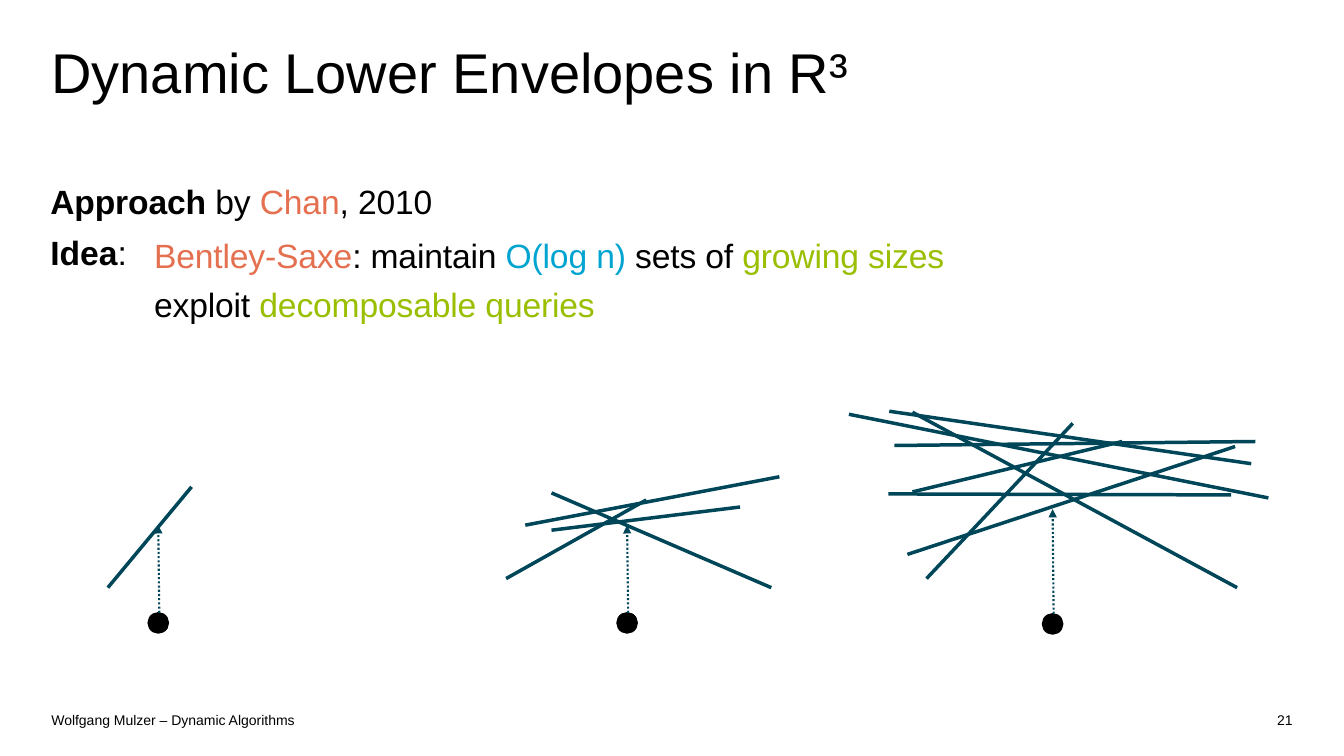
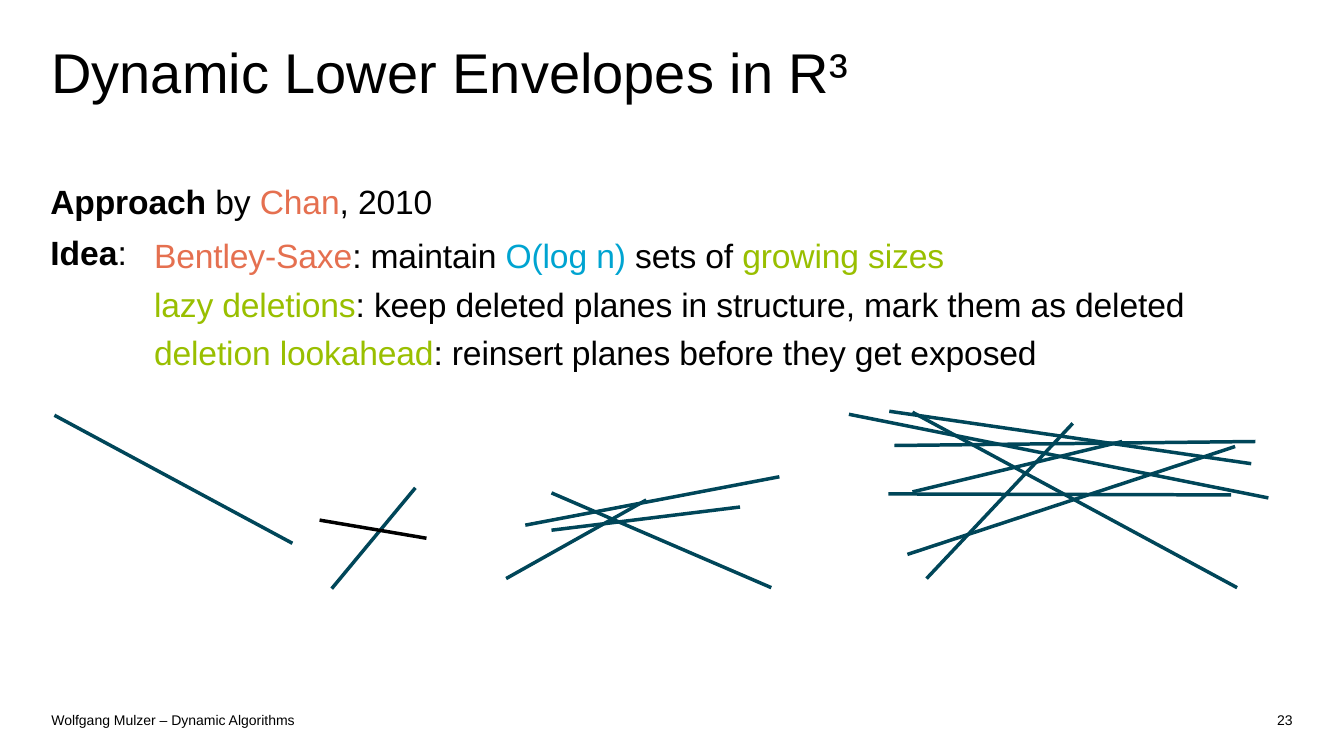
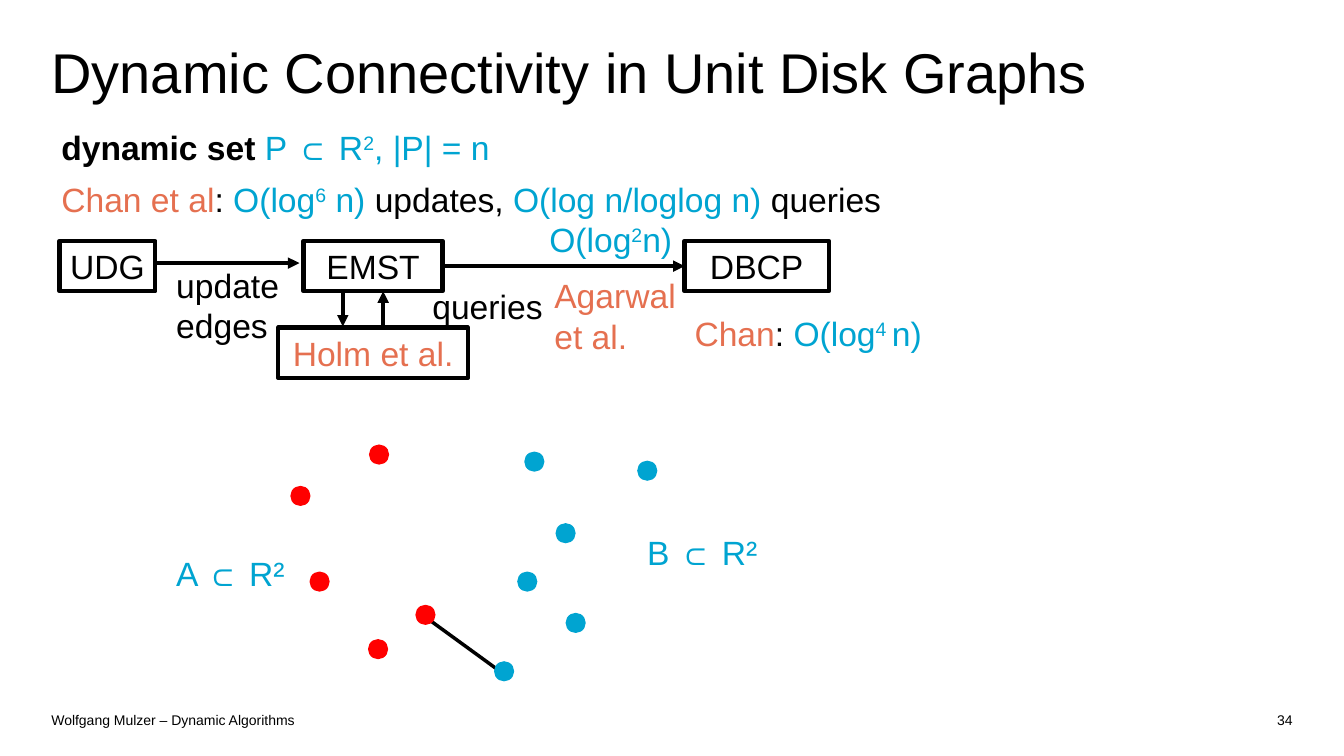
from dataclasses import dataclass

from pptx import Presentation
from pptx.dml.color import RGBColor
from pptx.enum.dml import MSO_LINE
from pptx.enum.shapes import MSO_CONNECTOR, MSO_SHAPE
from pptx.enum.text import MSO_ANCHOR, PP_ALIGN
from pptx.oxml.ns import qn
from pptx.util import Inches, Pt
from lxml.etree import SubElement

BLACK = RGBColor(0x00, 0x00, 0x00)
TEAL = RGBColor(0x00, 0x46, 0x59)
CORAL = RGBColor(0xE5, 0x70, 0x50)
BLUE = RGBColor(0x00, 0xA4, 0xD1)
GREEN = RGBColor(0x99, 0xBF, 0x00)
RED = RGBColor(0xFF, 0x00, 0x00)
FONT = "Arial"
BOLD, SUPER = "bold", "super"
DOT_SIZE = 0.2


@dataclass
class Box:
    left: float
    top: float
    width: float
    height: float

    def inner(self, x, y, width, height):
        return Box(self.left + x, self.top + y, width, height)

    def point(self, x, y):
        return self.left + x, self.top + y

    def lengths(self):
        return [Inches(value) for value in (self.left, self.top, self.width, self.height)]


TITLE = Box(0.51, 0.37, 12.31, 0.75)
FOOTER = Box(0.51, 6.99, 12.31, 0.31)
APPROACH = Box(0.44, 1.84, 10.3, 0.36)
IDEA = Box(0.5, 2.3, 11.36, 1.45)
MEDIUM_SET = Box(5.02, 4.73, 2.71, 1.1)
LARGE_SET = Box(8.42, 4.08, 4.16, 1.75)
INTRO = Box(0.51, 1.21, 9.11, 1.02)
PIPELINE = Box(0.59, 2.12, 8.83, 1.63)
POINT_SETS = Box(1.65, 4.41, 5.97, 2.35)

SMALL_PLANES = [((0, 1), (0.83, 0))]
MEDIUM_PLANES = [
    ((0, 1.01), (1.39, 0.23)),
    ((0.45, 0.53), (2.32, 0.3)),
    ((0.19, 0.48), (2.71, 0)),
    ((0.45, 0.16), (2.63, 1.1)),
]
LARGE_PLANES = [
    ((0.77, 1.66), (2.22, 0.12)),
    ((0.63, 0.8), (2.71, 0.3)),
    ((0.39, 0.82), (3.79, 0.83)),
    ((0.45, 0.34), (4.03, 0.3)),
    ((0.63, 0.01), (3.85, 1.75)),
    ((0, 0.03), (4.16, 0.86)),
    ((0.58, 1.42), (3.83, 0.35)),
    ((0.4, 0), (3.99, 0.52)),
]
BENTLEY_SAXE = [
    ("Bentley-Saxe", CORAL), (": maintain ", BLACK), ("O(log n)", BLUE),
    (" sets of ", BLACK), ("growing sizes", GREEN),
]


def add_spans(para, spans, size=24, tight=False):
    for text, color, *style in spans:
        if text == "\n":
            para.add_line_break()
            continue
        span = para.add_run()
        span.text = text
        span.font.name = FONT
        span.font.size = Pt(size)
        span.font.bold = BOLD in style
        span.font.color.rgb = color
        properties = span._r.get_or_add_rPr()
        if SUPER in style:
            properties.set("baseline", "30000")
        if tight:
            properties.set("spc", "-10")


def add_text(page, box, spans, size=24, inset=True, tight=False,
             align=PP_ALIGN.LEFT, anchor=MSO_ANCHOR.TOP):
    frame = page.shapes.add_textbox(*box.lengths()).text_frame
    frame.word_wrap = True
    frame.vertical_anchor = anchor
    if not inset:
        frame.margin_left = frame.margin_right = 0
        frame.margin_top = frame.margin_bottom = 0
    para = frame.paragraphs[0]
    para.alignment = align
    if tight:
        para.line_spacing = 0.9
        para._p.get_or_add_pPr().set("marL", str(Inches(0.06)))
    add_spans(para, spans, size, tight)


def add_line(page, start, end, color=TEAL, width=2.5, arrow=False, dotted=False):
    ends = [Inches(value) for value in (*start, *end)]
    line = page.shapes.add_connector(MSO_CONNECTOR.STRAIGHT, *ends)
    line.line.color.rgb = color
    line.line.width = Pt(width)
    if dotted:
        line.line.dash_style = MSO_LINE.ROUND_DOT
    properties = line._element.spPr
    if arrow:
        SubElement(properties.find(qn("a:ln")), qn("a:tailEnd"), type="triangle")
    SubElement(properties, qn("a:effectLst"))


def add_dot(page, center, color, outline=None):
    x, y = center
    box = Box(x - DOT_SIZE / 2, y - DOT_SIZE / 2, DOT_SIZE, DOT_SIZE)
    dot = page.shapes.add_shape(MSO_SHAPE.OVAL, *box.lengths())
    dot.shadow.inherit = False
    dot.fill.solid()
    dot.fill.fore_color.rgb = color
    if outline:
        dot.line.color.rgb = color
        dot.line.width = Pt(outline)
    else:
        dot.line.fill.background()


def add_node(page, box, label, color=BLACK):
    node = page.shapes.add_shape(MSO_SHAPE.RECTANGLE, *box.lengths())
    node.shadow.inherit = False
    node.fill.background()
    node.line.color.rgb = BLACK
    node.line.width = Pt(3)
    node.text_frame.word_wrap = False
    para = node.text_frame.paragraphs[0]
    para.alignment = PP_ALIGN.CENTER
    add_spans(para, [(label, color)])


def add_page(deck, title, number):
    page = deck.slides.add_slide(deck.slide_layouts[6])
    add_text(page, TITLE, [(title, BLACK)], size=40, inset=False)
    add_text(page, FOOTER.inner(0, 0, 10.77, FOOTER.height),
             [("Wolfgang Mulzer – Dynamic Algorithms", BLACK)],
             size=10, inset=False, anchor=MSO_ANCHOR.MIDDLE)
    add_text(page, FOOTER.inner(10.77, 0, 1.54, FOOTER.height), [(str(number), BLACK)],
             size=10, inset=False, align=PP_ALIGN.RIGHT, anchor=MSO_ANCHOR.MIDDLE)
    return page


def add_planes(page, box, planes):
    for start, end in planes:
        add_line(page, box.point(*start), box.point(*end))


def add_query(page, center, tip):
    x, y = center
    add_dot(page, center, BLACK, outline=1.08)
    add_line(page, (x + 0.01, y - DOT_SIZE / 2), (x, tip), width=1.5,
             arrow=True, dotted=True)


def add_idea(page, box, ideas):
    add_text(page, box.inner(0, 0, 1.07, 0.4), [("Idea", BLACK, BOLD), (":", BLACK)],
             inset=False)
    for row, spans in enumerate(ideas):
        add_text(page, box.inner(0.87, 0.03 + 0.48 * row, box.width - 0.87, 0.46),
                 spans, tight=True)


def add_envelope_page(deck, number, ideas, small_set):
    page = add_page(deck, "Dynamic Lower Envelopes in R³", number)
    add_text(page, APPROACH, [
        ("Approach", BLACK, BOLD), (" by ", BLACK), ("Chan", CORAL), (", 2010", BLACK),
    ], inset=False, tight=True)
    add_idea(page, IDEA, [BENTLEY_SAXE, *ideas])
    add_planes(page, small_set, SMALL_PLANES)
    add_planes(page, MEDIUM_SET, MEDIUM_PLANES)
    add_planes(page, LARGE_SET, LARGE_PLANES)
    return page


def add_query_page(deck):
    ideas = [[("exploit ", BLACK), ("decomposable queries", GREEN)]]
    page = add_envelope_page(deck, 21, ideas, Box(1.07, 4.83, 0.83, 1))
    for center, tip in [((1.57, 6.18), 5.21), ((6.22, 6.18), 5.21), ((10.44, 6.19), 5.05)]:
        add_query(page, center, tip)


def add_deletion_page(deck):
    ideas = [
        [("lazy deletions", GREEN),
         (": keep deleted planes in structure, mark them as deleted", BLACK)],
        [("deletion lookahead", GREEN),
         (": reinsert planes before they get exposed", BLACK)],
    ]
    page = add_envelope_page(deck, 23, ideas, Box(3.29, 4.84, 0.83, 1))
    add_line(page, (3.17, 5.16), (4.23, 5.34), color=BLACK)
    add_line(page, (0.54, 4.12), (2.9, 5.39))


def add_intro(page, box):
    add_text(page, box.inner(0, 0, 4.48, 0.5), [
        ("dynamic set ", BLACK, BOLD), ("P ⊂ R", BLUE), ("2", BLUE, SUPER),
        (", |P| = n", BLUE),
    ])
    add_text(page, box.inner(0, 0.52, box.width, 0.5), [
        ("Chan et al", CORAL), (": ", BLACK), ("O(log", BLUE), ("6", BLUE, SUPER),
        (" n) ", BLUE), ("updates, ", BLACK), ("O(log n/loglog n) ", BLUE),
        ("queries", BLACK),
    ])


def add_pipeline(page, box):
    for x, y, width, label, color in [
        (0, 0.27, 0.95, "UDG", BLACK),
        (2.42, 0.27, 1.38, "EMST", BLACK),
        (6.2, 0.27, 1.43, "DBCP", BLACK),
        (2.17, 1.13, 1.88, "Holm et al.", CORAL),
    ]:
        add_node(page, box.inner(x, y, width, 0.5), label, color)
    for start, end in [
        ((0.95, 0.49), (2.38, 0.49)),
        ((3.79, 0.52), (6.2, 0.52)),
        ((2.81, 0.77), (2.81, 1.12)),
        ((3.21, 1.12), (3.21, 0.77)),
    ]:
        add_line(page, box.point(*start), box.point(*end), BLACK, 2.75, arrow=True)
    for x, y, width, height, spans in [
        (4.76, 0, 1.56, 0.5, [("O(log", BLUE), ("2", BLUE, SUPER), ("n)", BLUE)]),
        (4.81, 0.56, 1.56, 0.91, [("Agarwal", CORAL), ("\n", CORAL), ("et al.", CORAL)]),
        (3.6, 0.67, 1.64, 0.5, [("queries", BLACK)]),
        (1.06, 0.46, 1.26, 0.91, [("update edges", BLACK)]),
        (6.2, 0.94, 2.63, 0.5, [("Chan", CORAL), (": ", BLACK), ("O(log", BLUE),
                                ("4 ", BLUE, SUPER), ("n)", BLUE)]),
    ]:
        add_text(page, box.inner(x, y, width, height), spans)


def add_point_sets(page, box):
    red_points = [(2.57, 1.69), (2.1, 2.03), (1.52, 1.36), (2.11, 0.1), (1.33, 0.51)]
    blue_points = [(3.65, 0.17), (3.58, 1.36), (4.06, 1.77), (4.77, 0.26),
                   (3.35, 2.25), (3.96, 0.88)]
    add_line(page, box.point(2.54, 1.69), box.point(3.35, 2.28), BLACK)
    for points, color in [(red_points, RED), (blue_points, BLUE)]:
        for center in points:
            add_dot(page, box.point(*center), color)
    for x, y, label in [(0, 1.03, "A ⊂ R²"), (4.67, 0.82, "B ⊂ R²")]:
        add_text(page, box.inner(x, y, 1.33, 0.5), [(label, BLUE)])


def add_connectivity_page(deck):
    page = add_page(deck, "Dynamic Connectivity in Unit Disk Graphs", 34)
    add_intro(page, INTRO)
    add_pipeline(page, PIPELINE)
    add_point_sets(page, POINT_SETS)


def main():
    deck = Presentation()
    deck.slide_width = Inches(13.33)
    deck.slide_height = Inches(7.5)
    add_query_page(deck)
    add_deletion_page(deck)
    add_connectivity_page(deck)
    deck.save("out.pptx")


if __name__ == "__main__":
    main()
